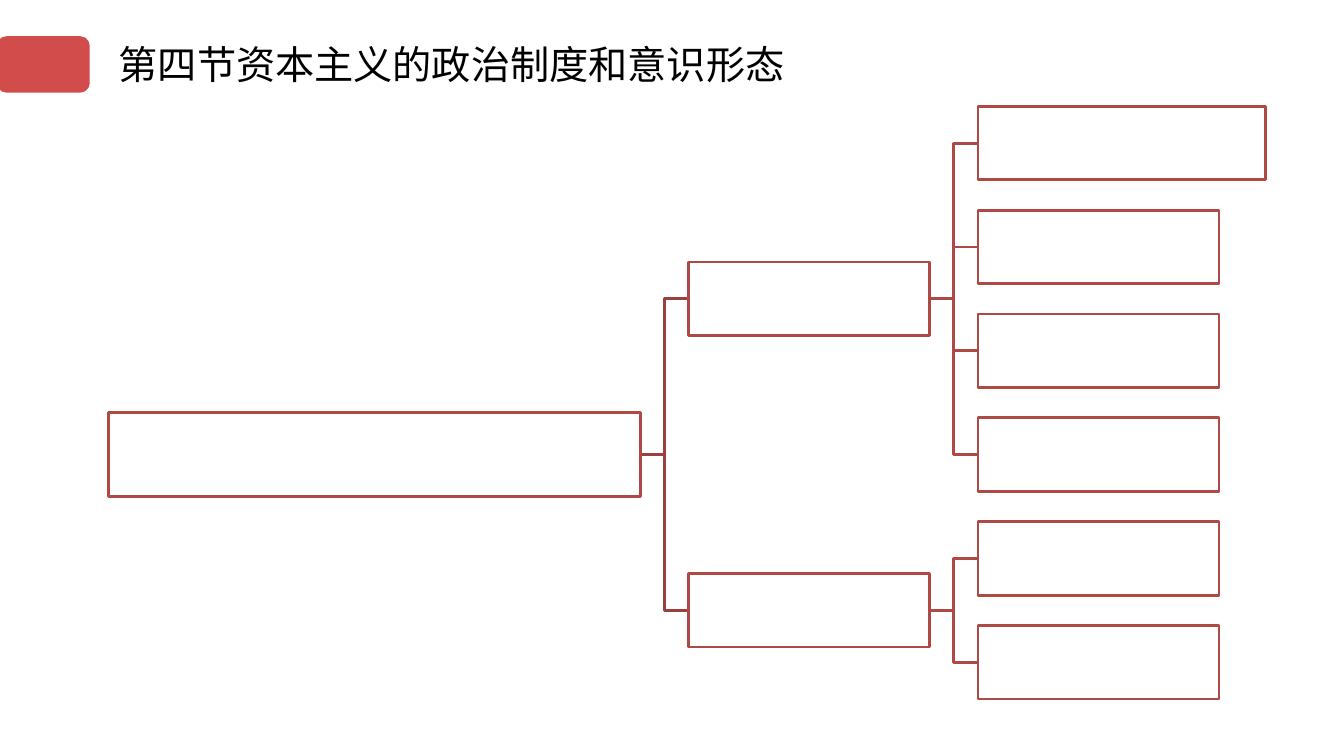
"""Build the section slide with its blank three-level bracket diagram."""
from lxml import etree
from pptx import Presentation
from pptx.dml.color import RGBColor
from pptx.enum import shapes, text
from pptx.oxml.ns import qn
from pptx.util import Inches, Pt

BLACK = RGBColor(0x00, 0x00, 0x00)
WHITE = RGBColor(0xFF, 0xFF, 0xFF)
ACCENT = RGBColor(0xC0, 0x00, 0x00)
ROOT_LINK = RGBColor(0x9A, 0x40, 0x3E)
OUTLINE = RGBColor(0xAE, 0x49, 0x46)
FONT = "Noto Sans CJK SC"

ROOT_X, BRANCH_X, LEAF_X = 1.08, 6.83, 9.7
ROOT_WIDTH, NODE_WIDTH, WIDE_LEAF = 5.27, 2.39, 2.85
ROOT_HEIGHT, NODE_HEIGHT = 0.84, 0.73
LINK_WIDTH = 0.48

prs = Presentation()
prs.slide_width, prs.slide_height = Inches(13.33), Inches(7.5)
slide = prs.slides.add_slide(prs.slide_layouts[6])


def add_node(left, middle, width, height):
    node = slide.shapes.add_shape(
        shapes.MSO_SHAPE.RECTANGLE,
        Inches(left), Inches(middle - height / 2), Inches(width), Inches(height))
    node.shadow.inherit = False
    node.fill.solid()
    node.fill.fore_color.rgb = WHITE
    node.line.color.rgb = OUTLINE
    node.line.width = Pt(2)


def add_link(right, parent_y, child_y, color):
    left, bend = right - LINK_WIDTH, right - LINK_WIDTH / 2
    outline = slide.shapes.build_freeform(Inches(left), Inches(parent_y))
    corners = [(bend, parent_y), (bend, child_y), (right, child_y)]
    outline.add_line_segments([(Inches(x), Inches(y)) for x, y in corners], close=False)
    link = outline.convert_to_shape()
    link.shadow.inherit = False
    link.fill.background()
    link.line.color.rgb = color
    link.line.width = Pt(2)


tab = slide.shapes.add_shape(
    shapes.MSO_SHAPE.ROUNDED_RECTANGLE,
    Inches(-0.03), Inches(0.36), Inches(0.92), Inches(0.56))
tab.shadow.inherit = False
tab.fill.solid()
tab.fill.fore_color.rgb = ACCENT
tab.line.fill.background()
tab_color = tab.fill._xPr.find(qn("a:solidFill"))[0]
etree.SubElement(tab_color, qn("a:alpha"), val="70000")

leaf_ys = [1.42 + 1.03 * row for row in range(6)]
branches = [leaf_ys[:4], leaf_ys[4:]]
branch_ys = [(leaves[0] + leaves[-1]) / 2 for leaves in branches]
root_y = sum(branch_ys) / 2

for branch_y, leaves in zip(branch_ys, branches):
    add_link(BRANCH_X, root_y, branch_y, ROOT_LINK)
    for leaf_y in leaves:
        add_link(LEAF_X, branch_y, leaf_y, OUTLINE)

add_node(ROOT_X, root_y, ROOT_WIDTH, ROOT_HEIGHT)
for branch_y in branch_ys:
    add_node(BRANCH_X, branch_y, NODE_WIDTH, NODE_HEIGHT)
for row, leaf_y in enumerate(leaf_ys):
    add_node(LEAF_X, leaf_y, NODE_WIDTH if row else WIDE_LEAF, NODE_HEIGHT)

heading = slide.shapes.add_textbox(Inches(1.08), Inches(0.35), Inches(7.4), Inches(0.71))
heading.text_frame.word_wrap = True
heading.text_frame.vertical_anchor = text.MSO_ANCHOR.TOP
title = heading.text_frame.paragraphs[0].add_run()
title.text = "第四节资本主义的政治制度和意识形态"
for attribute, value in {"name": FONT, "size": Pt(28)}.items():
    setattr(title.font, attribute, value)
title.font.color.rgb = BLACK
etree.SubElement(title.font._element, qn("a:ea"), typeface=FONT)

prs.save("out.pptx")
